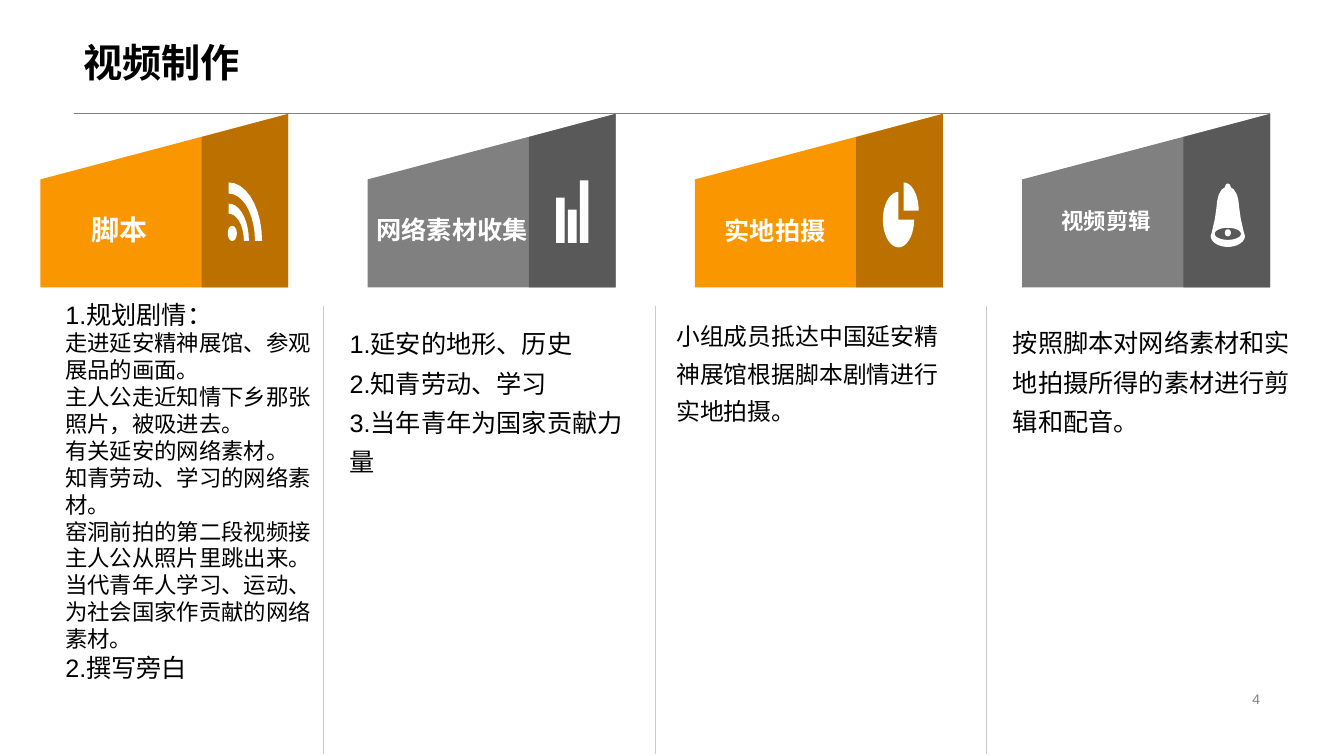
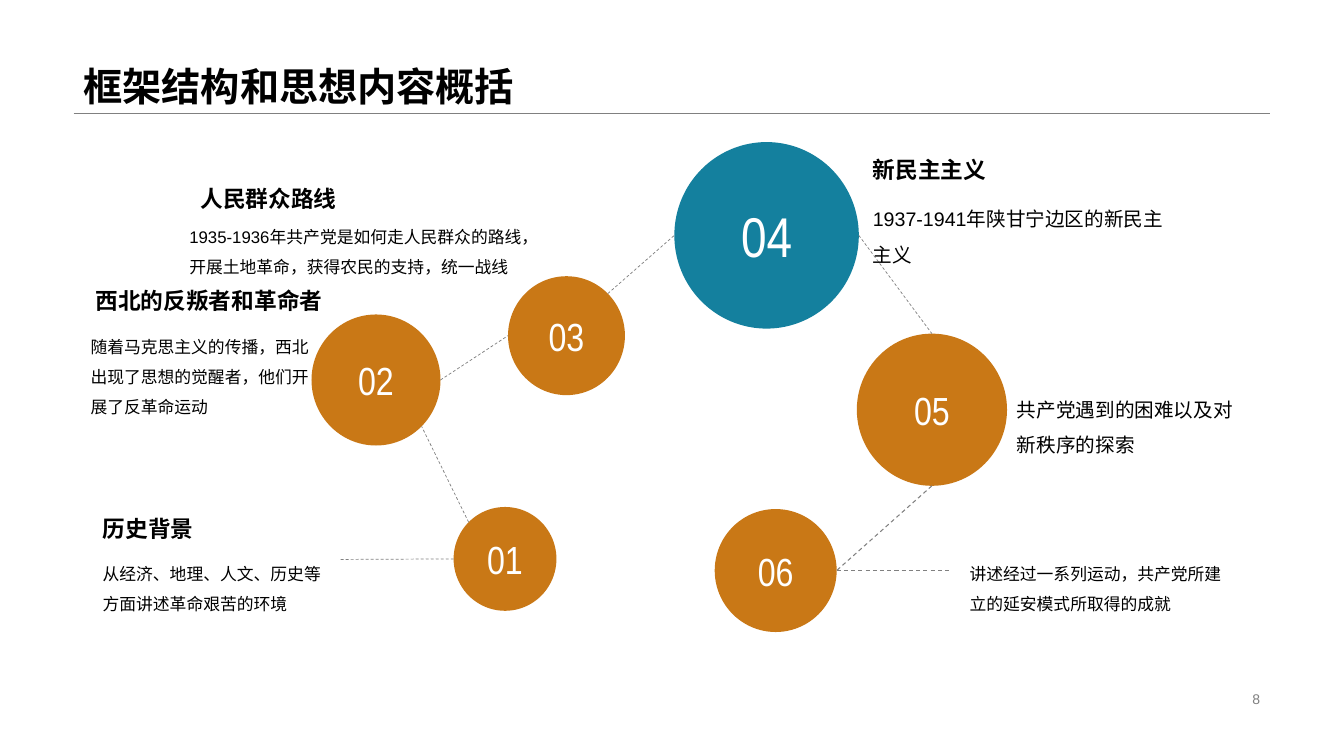
from math import cos, radians, sin

from lxml import etree
from pptx import Presentation
from pptx import util as u
from pptx.dml.color import RGBColor
from pptx.enum import dml, shapes, text
from pptx.oxml.ns import qn

COLORS = {
    "black": "000000", "white": "FFFFFF", "grey": "808080", "dark_grey": "595959",
    "rule": "CCCCCC", "orange": "FA9600", "dark_orange": "BB7000",
    "ochre": "C97816", "teal": "14809E",
}
LATIN, NARROW, HAN = "Arial", "Arial Narrow", "Noto Sans CJK SC"
COLS, ROWS = 133.33, 75  # grid cells of a tenth of an inch
LEFT, RIGHT, RULE_Y = 7.3, 126, 11.2
LINE_HEIGHT = 1.2
ALIGN, ANCHOR = text.PP_ALIGN, text.MSO_ANCHOR


def cells(n):
    return u.Emu(round(n * 91440))


def color(name):
    return RGBColor.from_string(COLORS[name])


def arc(cx, cy, rx, ry, start=0, end=360, step=10):
    """Points on an ellipse; angles in degrees, clockwise from the right."""
    n = max(2, round(abs(end - start) / step))
    angles = [radians(start + (end - start) * i / n) for i in range(n + 1)]
    return [(cx + rx * cos(a), cy + ry * sin(a)) for a in angles]


class Deck:
    """House style plus the slide being drawn; all lengths are grid cells."""

    def __init__(self):
        self.prs = Presentation()
        self.prs.slide_width, self.prs.slide_height = cells(COLS), cells(ROWS)
        self.s = None

    def slide(self, title, number, title_bottom):
        self.s = self.prs.slides.add_slide(self.prs.slide_layouts[6])
        self.line((LEFT, RULE_Y), (RIGHT, RULE_Y), "grey", 0.25)
        width = RIGHT - LEFT
        self.text((LEFT, title_bottom - 8, width, 8), title, 28, bold=True,
                  spacing=0.9, anchor=ANCHOR.BOTTOM)
        self.text((RIGHT - 31.8, 68.2, 31.8, 2.3), str(number), 10, "grey",
                  align=ALIGN.RIGHT, anchor=ANCHOR.MIDDLE)

    def text(self, box, content, size, fill="black", **style):
        sp = self.s.shapes.add_textbox(*map(cells, box))
        self.set_text(sp.text_frame, content, size, fill, **style)

    def set_text(self, tf, content, size, fill="black", font=LATIN, bold=False,
                 spacing=1, align=ALIGN.LEFT, anchor=ANCHOR.TOP):
        """Fill a frame; a line is a string or a (string, size, font) tuple."""
        dip = 0 if anchor == ANCHOR.MIDDLE else 0.2
        tf.margin_left = tf.margin_right = cells(1)
        tf.margin_top, tf.margin_bottom = cells(0.5 + dip), cells(0.5 - dip)
        tf.word_wrap, tf.vertical_anchor = True, anchor
        lines = [content] if isinstance(content, str) else content
        for i, line in enumerate(lines):
            words, pt, face = (line, size, font) if isinstance(line, str) else line
            p = tf.add_paragraph() if i else tf.paragraphs[0]
            p.text, p.alignment = words, align
            p.line_spacing = u.Pt(pt * LINE_HEIGHT * spacing)
            r = p.runs[0]
            r.font.size, r.font.bold, r.font.name = u.Pt(pt), bold, face
            r.font.color.rgb = color(fill)
            ea = etree.SubElement(r._r.get_or_add_rPr(), qn("a:ea"))
            ea.set("typeface", HAN)

    def line(self, start, end, stroke, width, dashed=False):
        ends = map(cells, (*start, *end))
        sp = self.s.shapes.add_connector(shapes.MSO_CONNECTOR.STRAIGHT, *ends)
        sp.line.color.rgb, sp.line.width = color(stroke), u.Pt(width)
        if dashed:
            sp.line.dash_style = dml.MSO_LINE.DASH
        etree.SubElement(sp._element.spPr, qn("a:effectLst"))

    def paint(self, sp, fill):
        sp.shadow.inherit = False
        sp.fill.solid()
        sp.fill.fore_color.rgb = color(fill)
        sp.line.fill.background()

    def outline(self, contours, fill, dx=0):
        """One freeform from closed contours, moved right by dx."""
        placed = [[(cells(x + dx), cells(y)) for x, y in c] for c in contours]
        fb = self.s.shapes.build_freeform(*placed[0][0], scale=1.0)
        for i, points in enumerate(placed):
            if i:
                fb.move_to(*points[0])
            fb.add_line_segments(points[1:], close=True)
        self.paint(fb.convert_to_shape(), fill)

    def circle(self, box, label, size, fill):
        sp = self.s.shapes.add_shape(shapes.MSO_SHAPE.OVAL, *map(cells, box))
        self.paint(sp, fill)
        self.set_text(sp.text_frame, label, size, "white", font=NARROW,
                      align=ALIGN.CENTER, anchor=ANCHOR.MIDDLE)


def feed_icon():
    def ring(rx, ry, inner_rx, inner_ry):
        return (arc(18.7, 23.9, rx, ry, -90, 0)
                + arc(18.7, 23.9, inner_rx, inner_ry, 0, -90))
    return [ring(2, 3.7, 1.5, 2.7), ring(3.3, 5.8, 2.6, 4.7),
            arc(19.05, 23.15, 0.45, 0.75)]


def bars_icon():
    tops = [19.6, 20.8, 17.9]
    lefts = [18.7 + 1.18 * i for i in range(len(tops))]
    return [[(x, 24.1), (x, y), (x + 0.85, y), (x + 0.85, 24.1)]
            for x, y in zip(lefts, tops)]


def pie_icon():
    return [[(20.7, 20.9)] + arc(20.7, 20.9, 1.5, 2.8, -90, 0),
            [(20.2, 21.8)] + arc(20.2, 21.8, 1.55, 2.75, 0, 270)]


def bell_icon():
    axis = 20.4
    half = [(0, 18.2), (0.2, 18.3), (0.3, 18.6), (0.6, 18.8), (0.9, 19.3),
            (1.05, 19.9), (1.14, 20.7), (1.28, 21.7), (1.6, 23.1)]
    half += arc(0, 23.4, 1.7, 1.1, 0, 90)
    body = ([(axis + x, y) for x, y in half]
            + [(axis - x, y) for x, y in reversed(half)])
    return [body, arc(axis, 23.2, 1.3, 0.6), arc(axis, 23.1, 0.3, 0.35)]


def video_slide(d):
    d.slide("视频制作", 4, 8.8)
    panels = [
        ("脚本", 20, (3.9, 17, 16, 11.5), feed_icon),
        ("网络素材收集", 18, (35.5, 19.8, 18.7, 5.9), bars_icon),
        ("实地拍摄", 18, (67.7, 19.9, 18.4, 5.9), pie_icon),
        ("视频剪辑", 16, (98.9, 17.9, 21.7, 7.9), bell_icon),
    ]
    top, bottom, width, fold = 11.3, 28.5, 24.6, 16
    face = [(width, top), (0, 17.8), (0, bottom), (width, bottom)]
    side = [(width, top), (fold, 13.6), (fold, bottom), (width, bottom)]
    for i, (label, size, box, icon) in enumerate(panels):
        x = 4 + 32.47 * i
        front, shade = [("orange", "dark_orange"), ("grey", "dark_grey")][i % 2]
        d.outline([face], front, x)
        d.outline([side], shade, x)
        d.text(box, label, size, "white", bold=True,
               align=ALIGN.CENTER, anchor=ANCHOR.MIDDLE)
        d.outline(icon(), "white", x)
    for i in range(3):
        x = 32.1 + 32.9 * i
        d.line((x, 30.4), (x, 74.8), "rule", 0.5)

    scenes = ["走进延安精神展馆、参观展品的画面。",
              "主人公走近知情下乡那张照片，被吸进去。",
              "有关延安的网络素材。",
              "知青劳动、学习的网络素材。",
              "窑洞前拍的第二段视频接主人公从照片里跳出来。",
              "当代青年人学习、运动、为社会国家作贡献的网络素材。"]
    steps = [("1.规划剧情：", 18, LATIN), *scenes, ("2.撰写旁白", 18, LATIN)]
    d.text((5.5, 29, 27.4, 42.4), steps, 16, font=HAN)
    notes = [
        ((33.7, 31, 30.9, 17.6), 18,
         ["1.延安的地形、历史", "2.知青劳动、学习", "3.当年青年为国家贡献力量"]),
        ((66.1, 30.4, 28.5, 12.9), 17,
         ["小组成员抵达中国延安精神展馆根据脚本剧情进行", "实地拍摄。"]),
        ((99.5, 30.9, 29.5, 12.3), 18,
         "按照脚本对网络素材和实地拍摄所得的素材进行剪辑和配音。"),
    ]
    for box, size, content in notes:
        d.text(box, content, size, spacing=1.3)


def framework_slide(d):
    d.slide("框架结构和思想内容概括", 8, 11.2)
    circles = {
        "01": (45, 50.3, 10.2, 10.3), "02": (30.9, 31.2, 12.8, 13),
        "03": (50.4, 27.4, 11.6, 11.8), "04": (66.9, 14.1, 18.3, 18.5),
        "05": (85, 33.1, 14.9, 15.1), "06": (70.9, 50.5, 12.1, 12.2),
    }
    for label, box in circles.items():
        main_topic = label == "04"
        d.circle(box, label, 40 if main_topic else 28,
                 "teal" if main_topic else "ochre")

    def rim(label, angle):
        x, y, w, h = circles[label]
        a = radians(angle)
        return x + w / 2 * (1 + cos(a)), y + h / 2 * (1 + sin(a))

    links = [
        (rim("01", 225), rim("02", 45), 0.5), (rim("02", 0), rim("03", 180), 0.5),
        (rim("03", -45), rim("04", 180), 0.5), (rim("04", 0), rim("05", -90), 0.5),
        (rim("01", 180), (33.7, 55.5), 0.5), (rim("05", 90), rim("06", 0), 0.75),
        (rim("06", 0), (94.1, 56.6), 0.75),
    ]
    for start, end, width in links:
        d.line(start, end, "grey", width, dashed=True)

    headings = [(9.2, 50.4, "历史背景"), (8.5, 27.8, "西北的反叛者和革命者"),
                (18.9, 17.6, "人民群众路线"), (85.6, 14.8, "新民主主义")]
    for x, y, words in headings:
        d.text((x, y, 26, 3.8), words, 16.2, bold=True)
    details = [
        (9.2, 54.2, 24, 12, LATIN, "从经济、地理、人文、历史等方面讲述革命艰苦的环境"),
        (8, 31.7, 24, 12, LATIN,
         "随着马克思主义的传播，西北出现了思想的觉醒者，他们开展了反革命运动"),
        (17.8, 20.8, 38.2, 12, LATIN,
         "1935-1936年共产党是如何走人民群众的路线，开展土地革命，获得农民的支持，统一战线"),
        (85.6, 18.7, 32.2, 14, LATIN, "1937-1941年陕甘宁边区的新民主主义"),
        (99.9, 37.6, 24, 14, LATIN, "共产党遇到的困难以及对新秩序的探索"),
        (95.2, 54.2, 27.1, 12, HAN,
         "讲述经过一系列运动，共产党所建立的延安模式所取得的成就"),
    ]
    for x, y, w, size, font, words in details:
        d.text((x, y, w, 7.1), words, size, font=font, spacing=1.5)


def main():
    d = Deck()
    video_slide(d)
    framework_slide(d)
    d.prs.save("out.pptx")


if __name__ == "__main__":
    main()
